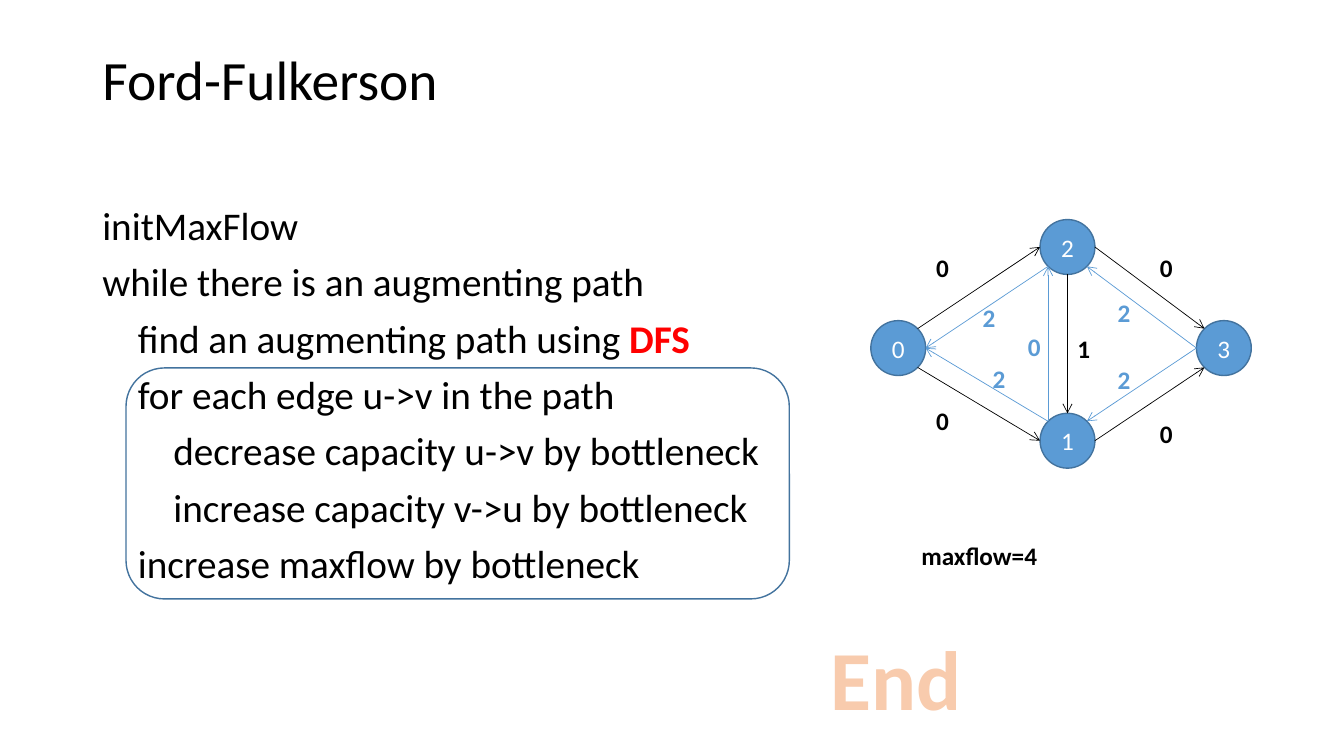
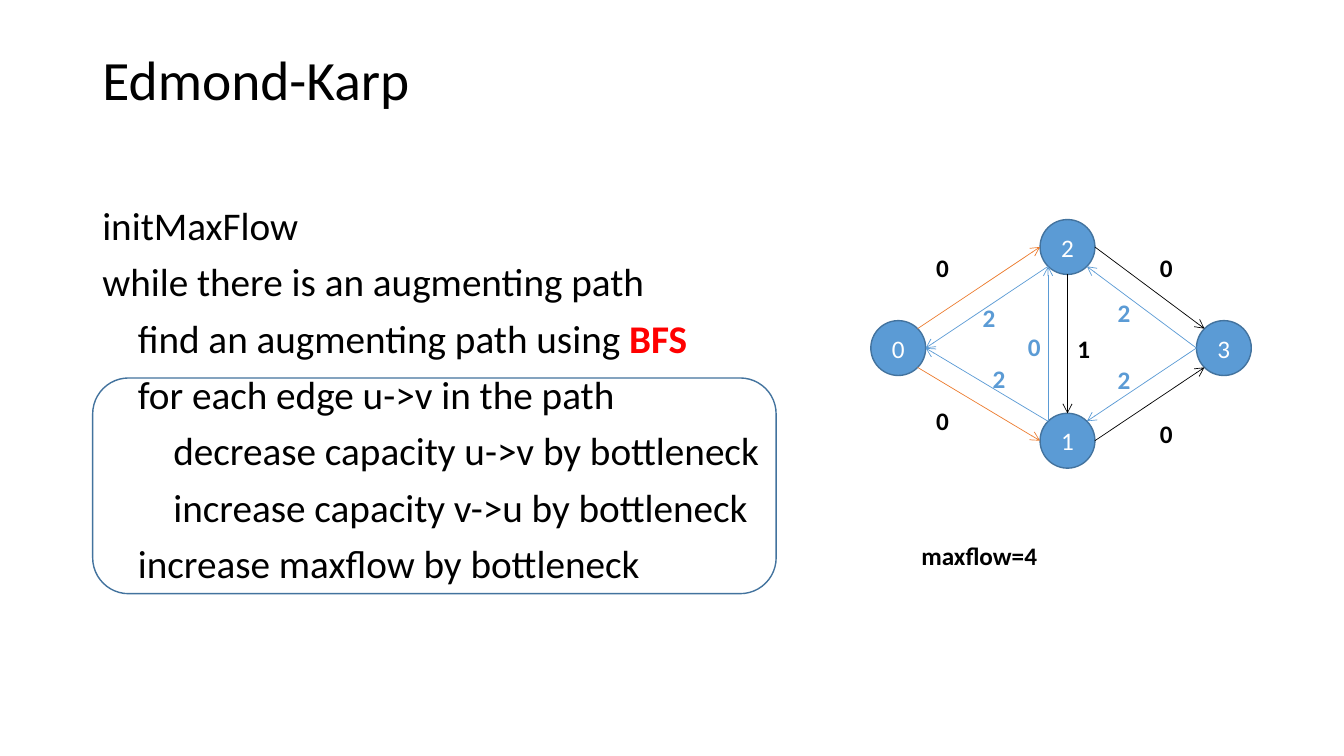
from math import cos, sin, radians
from lxml.etree import SubElement
from pptx import Presentation
from pptx.dml.color import RGBColor
from pptx.enum.shapes import MSO_CONNECTOR, MSO_SHAPE
from pptx.enum.text import MSO_ANCHOR, MSO_AUTO_SIZE, PP_ALIGN
from pptx.oxml import parse_xml
from pptx.oxml.ns import nsdecls, qn
from pptx.util import Pt

HUES = {
    "ink": "000000",
    "blue": "5B9BD5",
    "edge": "43739E",
    "white": "FFFFFF",
    "red": "FF0000",
    "orange": "ED7D31",
    "peach": "F8CBAD",
}
FONT = "Calibri"
SIDE = 39.2
STEP = 25.4
SITES = {"right": 0, "low right": 45, "bottom": 90, "low left": 135,
         "left": 180, "top left": 225, "top": 270, "top right": 315}
NODES = {"0": (641.6, 248.6), "2": (762.5, 176.4),
         "3": (874.2, 248.6), "1": (762.5, 314.8)}
AHEAD = [
    ("0", "top right", "2", "left"),
    ("2", "right", "3", "top left"),
    ("0", "low right", "1", "left"),
    ("1", "right", "3", "low left"),
    ("2", "bottom", "1", "top"),
]
BACK = [
    ("2", "low left", "0", "right"),
    ("3", "left", "2", "low right"),
    ("1", "top left", "0", "right"),
    ("3", "left", "1", "top right"),
    ("1", "top left", "2", "low left"),
]
LABELS = [
    ("0", 661.7, 176.4, "ink"),
    ("0", 821.5, 176.4, "ink"),
    ("1", 762.5, 234.7, "ink"),
    ("0", 661.7, 285.8, "ink"),
    ("0", 821.5, 295.2, "ink"),
    ("2", 791.3, 208.8, "blue"),
    ("2", 694.8, 212.4, "blue"),
    ("2", 702, 255.6, "blue"),
    ("0", 727.2, 233.3, "blue"),
    ("2", 791.3, 257, "blue"),
]
CODE = [
    (0, "initMaxFlow"),
    (0, "while there is an augmenting path"),
    (1, "find an augmenting path using "),
    (1, "for each edge u->v in the path"),
    (2, "decrease capacity u->v by bottleneck"),
    (2, "increase capacity v->u by bottleneck"),
    (1, "increase maxflow by bottleneck"),
]


def hue(name):
    return RGBColor.from_string(HUES[name])


def port(node, site):
    x, y = NODES[node]
    turn = radians(SITES[site])
    return Pt(x + SIDE / 2 * cos(turn)), Pt(y + SIDE / 2 * sin(turn))


class Deck:
    def __init__(self):
        self.show = Presentation()
        self.show.slide_width, self.show.slide_height = Pt(960), Pt(540)
        self.slide = None

    def style(self, para, size, color, bold=False):
        for run in para.runs:
            font = run.font
            font.name, font.size, font.bold = FONT, Pt(size), bold
            font.color.rgb = hue(color)

    def start(self, title):
        self.slide = self.show.slides.add_slide(self.show.slide_layouts[5])
        head = self.slide.shapes.title
        head.left, head.top, head.width, head.height = map(Pt, (66, 28.8, 828, 104.4))
        frame = head.text_frame
        frame.text = title
        frame.auto_size = MSO_AUTO_SIZE.NONE
        frame.vertical_anchor = MSO_ANCHOR.TOP
        frame.margin_top = Pt(8.7)
        para = frame.paragraphs[0]
        para.alignment = PP_ALIGN.LEFT
        para.line_spacing = 0.9
        self.style(para, 39.6, "ink")

    def code(self, search):
        box = self.slide.shapes.add_textbox(*map(Pt, (66, 144, 521.3, 342.7)))
        frame = box.text_frame
        frame.word_wrap = True
        frame.text = "\n".join(line for _, line in CODE)
        for para, (depth, _) in zip(frame.paragraphs, CODE):
            para.line_spacing = 0.9
            para.space_before = Pt(10)
            para._p.get_or_add_pPr().set("marL", str(Pt(depth * STEP)))
            self.style(para, 28, "ink")
        run = frame.paragraphs[2].add_run()
        run.text = search
        font = run.font
        font.name, font.size, font.bold = FONT, Pt(28), True
        font.color.rgb = hue("red")

    def label(self, text, x, y, wide, high, color, size=18, wrap=True):
        box = self.slide.shapes.add_textbox(Pt(x), Pt(y), Pt(wide), Pt(high))
        frame = box.text_frame
        frame.text = text
        frame.word_wrap = wrap
        frame.auto_size = MSO_AUTO_SIZE.SHAPE_TO_FIT_TEXT
        self.style(frame.paragraphs[0], size, color, True)
        return frame.paragraphs[0]

    def shape(self, kind, x, y, wide, high, fill=None):
        item = self.slide.shapes.add_shape(kind, Pt(x), Pt(y), Pt(wide), Pt(high))
        item.shadow.inherit = False
        item.line.color.rgb = hue("edge")
        item.line.width = Pt(1)
        if fill:
            item.fill.solid()
            item.fill.fore_color.rgb = hue(fill)
        else:
            item.fill.background()
        return item

    def node(self, name):
        x, y = NODES[name]
        item = self.shape(MSO_SHAPE.OVAL, x - SIDE / 2, y - SIDE / 2, SIDE, SIDE, "blue")
        frame = item.text_frame
        frame.text = name
        frame.vertical_anchor = MSO_ANCHOR.MIDDLE
        frame.paragraphs[0].alignment = PP_ALIGN.CENTER
        self.style(frame.paragraphs[0], 18, "white")

    def arrow(self, tail, out, head, into, color):
        item = self.slide.shapes.add_connector(
            MSO_CONNECTOR.STRAIGHT, *port(tail, out), *port(head, into))
        item.line.color.rgb = hue(color)
        item.line.width = Pt(0.5)
        SubElement(item.line._get_or_add_ln(), qn("a:tailEnd"), type="arrow")
        SubElement(item._element.spPr, qn("a:effectLst"))

    def graph(self, first):
        for name in NODES:
            self.node(name)
        for link in AHEAD:
            self.arrow(*link, first if link[0] == "0" else "ink")
        for link in BACK:
            self.arrow(*link, "blue")
        for text, x, y, color in LABELS:
            self.label(text, x, y, 33, 29, color)
        self.label("maxflow=4", 651, 382.3, 224, 29, "ink")

    def close(self, text):
        para = self.label(text, 586, 444.2, 108, 80, "peach", 60, False)
        para.alignment = PP_ALIGN.CENTER
        line = parse_xml(
            f'<a:ln {nsdecls("a")} w="{Pt(1.75)}"><a:solidFill>'
            f'<a:srgbClr val="{HUES["orange"]}"/></a:solidFill></a:ln>')
        para.runs[0].font._element.insert(0, line)


deck = Deck()
for title, search, frame, first in [
    ("Ford-Fulkerson", "DFS", (90, 262.8, 473.8, 165), "ink"),
    ("Edmond-Karp", "BFS", (66.2, 270, 488.2, 154.1), "orange"),
]:
    deck.start(title)
    deck.code(search)
    deck.shape(MSO_SHAPE.ROUNDED_RECTANGLE, *frame)
    deck.graph(first)
    if search == "DFS":
        deck.close("End")
deck.show.save("out.pptx")
